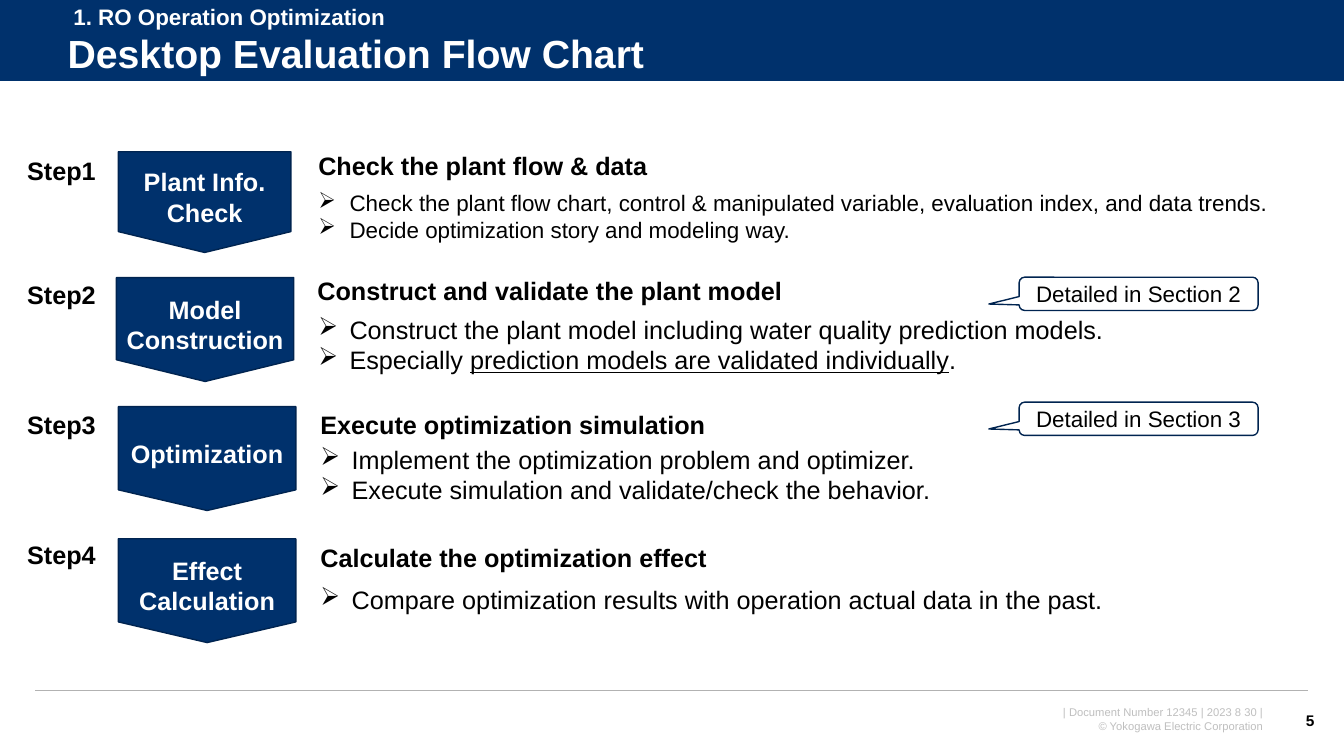
from dataclasses import dataclass

from lxml.etree import SubElement
from pptx import Presentation
from pptx.dml.color import RGBColor
from pptx.enum.shapes import MSO_CONNECTOR, MSO_SHAPE as Preset
from pptx.enum.text import MSO_ANCHOR as Anchor, MSO_AUTO_SIZE as AutoSize, PP_ALIGN as Align
from pptx.oxml.ns import qn
from pptx.util import Emu, Inches, Pt

NAVY, EDGE, WHITE, BLACK = "00316C", "002450", "FFFFFF", "000000"
LABEL_X, BADGE_X, CALLOUT_X = 1.28, 8.81, 75.83
BULLET_INDENT = Inches(0.31)


@dataclass(frozen=True)
class Box:
    """Left, top, width and height in percent of the slide's size."""
    x: float
    y: float
    w: float
    h: float


@dataclass(frozen=True)
class Style:
    size: float
    color: str = BLACK
    bold: bool = False
    align: Align = Align.LEFT


@dataclass(frozen=True)
class Step:
    """One row of the flow; underscores in a bullet enclose underlined words."""
    label_y: float
    badge: str
    badge_box: Box
    point: float
    heading: str
    heading_box: Box
    bullets: tuple[str, ...]
    bullet_box: Box
    bullet_size: float = 18
    callout: str = ""
    callout_y: float = 0


STEPS = (
    Step(19.87, "Plant Info. Check", Box(BADGE_X, 20.07, 12.83, 13.33), 0.207,
         "Check the plant flow & data", Box(22.95, 19.2, 31.13, 5.33),
         ("Check the plant flow chart, control & manipulated variable, "
          "evaluation index, and data trends.",
          "Decide optimization story and modeling way."),
         Box(22.95, 24.4, 77.02, 8.53), bullet_size=16),
    Step(36.27, "Model Construction", Box(8.66, 36.73, 13.2, 13.73), 0.209,
         "Construct and validate the plant model", Box(22.88, 35.73, 39.75, 5.33),
         ("Construct the plant model including water quality prediction models.",
          "Especially _prediction models are validated individually_."),
         Box(22.95, 40.93, 72.23, 9.47),
         callout="Detailed in Section 2", callout_y=36.67),
    Step(53.47, "Optimization", Box(BADGE_X, 53.8, 13.2, 13.73), 0.199,
         "Execute optimization simulation", Box(23.1, 53.47, 32.55, 5.33),
         ("Implement the optimization problem and optimizer.",
          "Execute simulation and validate/check the behavior."),
         Box(23.1, 58.13, 69.83, 9.47),
         callout="Detailed in Section 3", callout_y=53.2),
    Step(70.67, "Effect Calculation", Box(BADGE_X, 71.27, 13.2, 13.73), 0.199,
         "Calculate the optimization effect", Box(23.1, 71.07, 32.55, 5.33),
         ("Compare optimization results with operation actual data in the past.",),
         Box(23.1, 76.67, 63.15, 5.33)),
)

deck = Presentation()
deck.slide_width, deck.slide_height = Inches(13.33), Inches(7.5)
slide = deck.slides.add_slide(deck.slide_layouts[5])


def rgb(color: str) -> RGBColor:
    return RGBColor.from_string(color)


def across(share: float) -> Emu:
    return Emu(round(deck.slide_width * share / 100))


def down(share: float) -> Emu:
    return Emu(round(deck.slide_height * share / 100))


def place(box: Box) -> tuple[Emu, Emu, Emu, Emu]:
    return across(box.x), down(box.y), across(box.w), down(box.h)


def set_all(target, values: dict) -> None:
    for name, value in values.items():
        setattr(target, name, value)


def write(frame, lines: tuple[str, ...], style: Style, bulleted: bool = False) -> None:
    for number, line in enumerate(lines):
        paragraph = frame.add_paragraph() if number else frame.paragraphs[0]
        paragraph.alignment = style.align
        if bulleted:
            properties = paragraph._p.get_or_add_pPr()
            properties.set("marL", str(BULLET_INDENT))
            properties.set("indent", str(-BULLET_INDENT))
            SubElement(properties, qn("a:buChar")).set("char", "➢")
        for position, words in enumerate(line.split("_")):
            run = paragraph.add_run()
            run.text = words
            set_all(run.font, {"name": "Arial", "size": Pt(style.size), "bold": style.bold,
                               "underline": True if position % 2 else None})
            run.font.color.rgb = rgb(style.color)


def add_text(box: Box, lines: tuple[str, ...], style: Style, wrap: bool = True,
             bulleted: bool = False, anchor: Anchor = Anchor.TOP):
    frame = slide.shapes.add_textbox(*place(box)).text_frame
    fit = AutoSize.SHAPE_TO_FIT_TEXT if anchor == Anchor.TOP else AutoSize.NONE
    set_all(frame, {"word_wrap": wrap, "auto_size": fit, "vertical_anchor": anchor})
    write(frame, lines, style, bulleted)
    return frame


def add_panel(preset: Preset, bounds: tuple, fill: str, edge: str = ""):
    panel = slide.shapes.add_shape(preset, *bounds)
    panel.shadow.inherit = False
    panel.fill.solid()
    panel.fill.fore_color.rgb = rgb(fill)
    if edge:
        panel.line.color.rgb = rgb(edge)
        panel.line.width = Pt(1)
    else:
        panel.line.fill.background()
    set_all(panel.text_frame, {"word_wrap": True, "vertical_anchor": Anchor.MIDDLE})
    return panel


def add_rule(start: float, end: float, y: float, color: str, width: float) -> None:
    rule = slide.shapes.add_connector(MSO_CONNECTOR.STRAIGHT, across(start), down(y),
                                      across(end), down(y))
    rule.line.color.rgb = rgb(color)
    rule.line.width = Pt(width)
    SubElement(rule.element.spPr, qn("a:effectLst"))


def add_badge(step: Step) -> None:
    """Pentagon turned to point down, with its text kept upright."""
    left, top, width, height = place(step.badge_box)
    shift = (width - height) // 2
    badge = add_panel(Preset.PENTAGON, (left + shift, top - shift, height, width), NAVY, EDGE)
    badge.rotation = 90
    badge.adjustments[0] = step.point
    badge.text_frame._txBody.bodyPr.set("vert", "vert270")
    write(badge.text_frame, (step.badge,), Style(18, WHITE, True, Align.CENTER))


def add_callout(step: Step) -> None:
    callout = add_panel(Preset.ROUNDED_RECTANGULAR_CALLOUT,
                        place(Box(CALLOUT_X, step.callout_y, 17.78, 4.4)), WHITE, EDGE)
    for index, value in enumerate((-0.627, 0.307, 0.167)):
        callout.adjustments[index] = value
    write(callout.text_frame, (step.callout,), Style(16, align=Align.CENTER))


def add_frame() -> None:
    band = add_panel(Preset.RECTANGLE, place(Box(0, 0, 100, 10.8)), NAVY)
    add_rule(0, 100, 10.8, WHITE, 0.75)
    add_rule(2.63, 97.35, 91.33, "B2B2B2", 1)

    title = slide.shapes.title
    title.element.addprevious(band.element)
    left, top, width, height = place(Box(4.28, 3.6, 93.53, 7.6))
    set_all(title, {"left": left, "top": top, "width": width, "height": height})
    set_all(title.text_frame, {"word_wrap": True, "auto_size": AutoSize.NONE,
                               "vertical_anchor": Anchor.MIDDLE})
    write(title.text_frame, ("Desktop Evaluation Flow Chart",), Style(28, WHITE, True))
    title.text_frame.paragraphs[0].line_spacing = 0.9

    add_text(Box(4.73, -0.27, 37.13, 4.93), ("1. RO Operation Optimization",),
             Style(16, WHITE, True))
    footer = add_text(Box(71.1, 92.67, 24.08, 4.93),
                      ("| Document Number 12345 | 2023 8 30 |", "© Yokogawa Electric Corporation"),
                      Style(8, "BFBFBF", align=Align.RIGHT))
    footer.paragraphs[0]._p.get_or_add_pPr().set("marR", str(Inches(0.06)))
    add_text(Box(95.25, 92.67, 3.3, 5.33), ("5",), Style(11, bold=True, align=Align.RIGHT),
             wrap=False, anchor=Anchor.MIDDLE)


add_frame()
for number, step in enumerate(STEPS, start=1):
    add_text(Box(LABEL_X, step.label_y, 6.68, 5.33), (f"Step{number}",),
             Style(18, bold=True), wrap=False)
    add_badge(step)
    add_text(step.heading_box, (step.heading,), Style(18, bold=True))
    add_text(step.bullet_box, step.bullets, Style(step.bullet_size), bulleted=True)
    if step.callout:
        add_callout(step)

deck.save("out.pptx")
